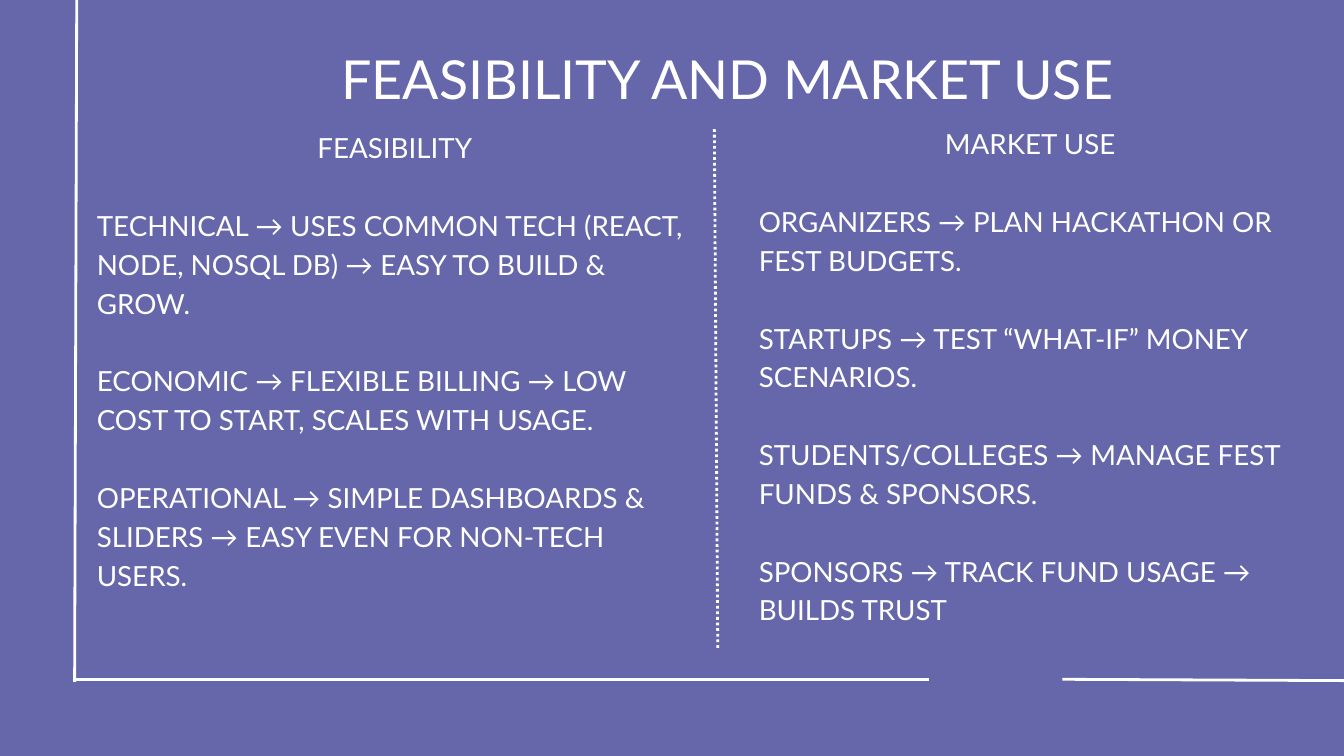
from lxml.etree import SubElement
from pptx import Presentation
from pptx.dml.color import RGBColor
from pptx.enum.dml import MSO_LINE
from pptx.enum.shapes import MSO_CONNECTOR
from pptx.enum.text import MSO_ANCHOR, MSO_AUTO_SIZE, PP_ALIGN
from pptx.oxml.ns import qn
from pptx.util import Cm, Pt

BACKGROUND = RGBColor(0x66, 0x67, 0xAB)
WHITE = RGBColor(0xFF, 0xFF, 0xFF)
FONT = "Lato"
BODY_LINE = Pt(41.6)

COLUMNS = [
    ((3.66, 4.75, 22.53, 17.3), "FEASIBILITY", [
        "TECHNICAL → USES COMMON TECH (REACT, NODE, NOSQL DB) → EASY TO BUILD & GROW.",
        "ECONOMIC → FLEXIBLE BILLING → LOW COST TO START, SCALES WITH USAGE.",
        "OPERATIONAL → SIMPLE DASHBOARDS & SLIDERS → EASY EVEN FOR NON-TECH USERS.",
    ]),
    ((28.68, 4.6, 20.52, 18.92), "MARKET USE", [
        "ORGANIZERS → PLAN HACKATHON OR FEST BUDGETS.",
        "STARTUPS → TEST “WHAT-IF” MONEY SCENARIOS.",
        "STUDENTS/COLLEGES → MANAGE FEST FUNDS & SPONSORS.",
        "SPONSORS → TRACK FUND USAGE → BUILDS TRUST",
    ]),
]

LINES = [
    ((2.82, 25.78, 2.9, 0), MSO_LINE.SOLID),
    ((35.1, 25.7, 2.82, 25.7), MSO_LINE.SOLID),
    ((50.8, 25.73, 40.16, 25.68), MSO_LINE.SOLID),
    ((27.13, 24.49, 27, 4.83), MSO_LINE.ROUND_DOT),
]


def prepare_frame(text_frame):
    text_frame.margin_left = text_frame.margin_right = 0
    text_frame.margin_top = text_frame.margin_bottom = 0
    text_frame.word_wrap = True
    text_frame.auto_size = MSO_AUTO_SIZE.NONE
    text_frame.vertical_anchor = MSO_ANCHOR.TOP


def format_paragraph(paragraph, size, line_spacing, alignment):
    paragraph.alignment = alignment
    paragraph.line_spacing = line_spacing
    for run in paragraph.runs:
        run.font.name = FONT
        run.font.size = Pt(size)
        run.font.color.rgb = WHITE


presentation = Presentation()
presentation.slide_width = Cm(50.8)
presentation.slide_height = Cm(28.58)
slide = presentation.slides.add_slide(presentation.slide_layouts[5])
slide.background.fill.solid()
slide.background.fill.fore_color.rgb = BACKGROUND

title = slide.shapes.title
title.left, title.top, title.width, title.height = Cm(12.83), Cm(1.32), Cm(29.34), Cm(2.74)
title.text_frame.text = "FEASIBILITY AND MARKET USE"
prepare_frame(title.text_frame)
format_paragraph(title.text_frame.paragraphs[0], 57.6, Pt(80.6), PP_ALIGN.CENTER)

for ends, dash in LINES:
    line = slide.shapes.add_connector(MSO_CONNECTOR.STRAIGHT, *map(Cm, ends))
    line.line.color.rgb = WHITE
    line.line.width = Pt(3)
    line.line.dash_style = dash
    SubElement(line._element.spPr, qn("a:effectLst"))

for box, heading, points in COLUMNS:
    text_frame = slide.shapes.add_textbox(*map(Cm, box)).text_frame
    prepare_frame(text_frame)
    text_frame.text = heading
    format_paragraph(text_frame.paragraphs[0], 29.7, BODY_LINE, PP_ALIGN.CENTER)
    for point in points:
        paragraph = text_frame.add_paragraph()
        paragraph.text = point
        paragraph.space_before = BODY_LINE
        format_paragraph(paragraph, 29.7, BODY_LINE, PP_ALIGN.LEFT)

presentation.save("out.pptx")
